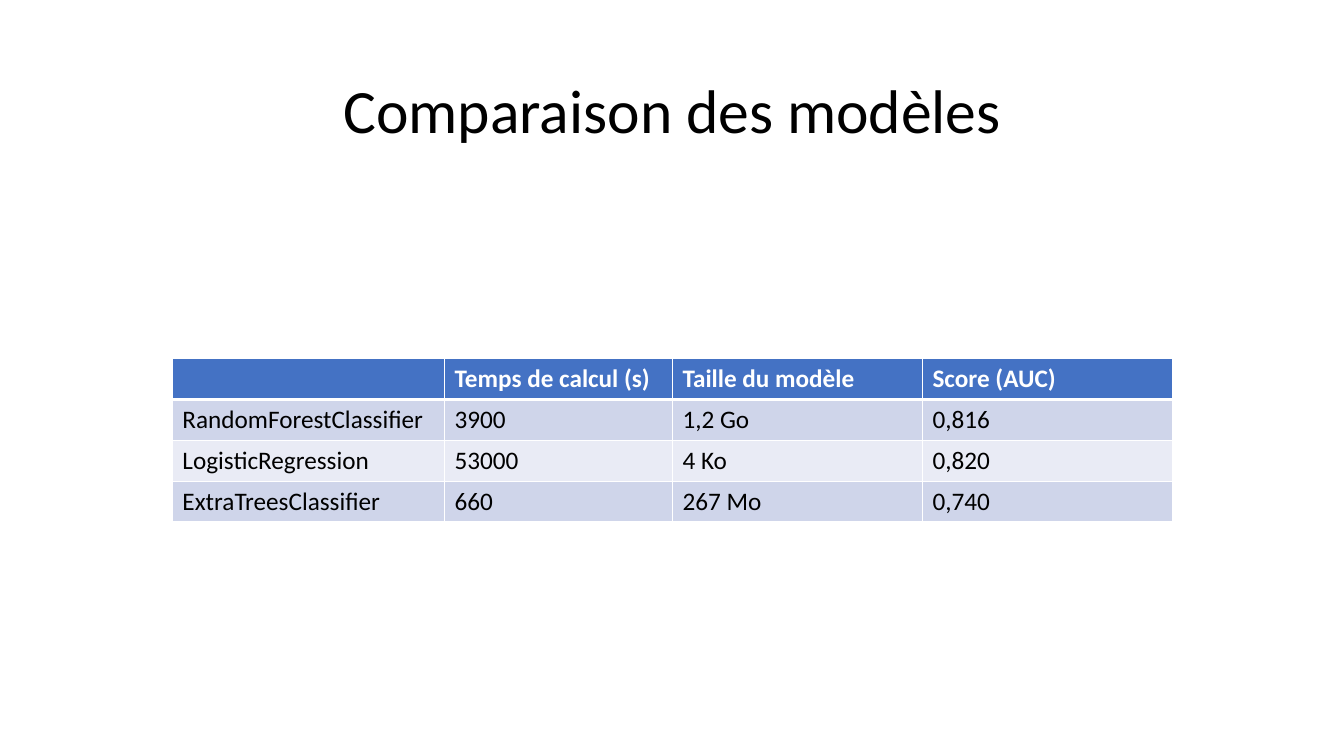
import dataclasses

import lxml.etree
import pptx
import pptx.dml.color
import pptx.enum.text
import pptx.oxml.ns
import pptx.util

Inches = pptx.util.Inches
Pt = pptx.util.Pt
qn = pptx.oxml.ns.qn
PP_ALIGN = pptx.enum.text.PP_ALIGN
MSO_ANCHOR = pptx.enum.text.MSO_ANCHOR

FONT = "Calibri"
COLORS = {
    "text": "000000",
    "header": "4472C4",
    "odd": "CFD5EA",
    "even": "E9EBF5",
    "white": "FFFFFF",
}


@dataclasses.dataclass(frozen=True)
class Model:
    name: str
    duration: str
    size: str
    score: str


HEADINGS = Model("", "Temps de calcul (s)", "Taille du modèle", "Score (AUC)")
MODELS = [
    Model("RandomForestClassifier", "3900", "1,2 Go", "0,816"),
    Model("LogisticRegression", "53000", "4 Ko", "0,820"),
    Model("ExtraTreesClassifier", "660", "267 Mo", "0,740"),
]
COLUMN_WIDTHS = [2.7, 2.26, 2.48, 2.48]
ROW_HEIGHT = 0.405


def rgb(color: str) -> pptx.dml.color.RGBColor:
    return pptx.dml.color.RGBColor.from_string(COLORS[color])


def write(frame, text: str, *, size: float = 18, color: str = "text",
          bold: bool = False, align=PP_ALIGN.LEFT, spacing: float = 1.0) -> None:
    paragraph = frame.paragraphs[0]
    paragraph.alignment = align
    paragraph.line_spacing = spacing
    paragraph.font.size = Pt(size)
    if not text:
        return
    run = paragraph.add_run()
    run.text = text
    run.font.name = FONT
    run.font.size = Pt(size)
    run.font.bold = bold
    run.font.color.rgb = rgb(color)


def set_borders(cell, *, top: float = 1, bottom: float = 1) -> None:
    properties = cell._tc.get_or_add_tcPr()
    for side, width in (("L", 1), ("R", 1), ("T", top), ("B", bottom)):
        line = lxml.etree.SubElement(properties, qn(f"a:ln{side}"), w=str(Pt(width)))
        fill = lxml.etree.SubElement(line, qn("a:solidFill"))
        lxml.etree.SubElement(fill, qn("a:srgbClr"), val=COLORS["white"])


def draw_row(table, index: int, model: Model) -> None:
    is_header = index == 0
    band = "header" if is_header else "odd" if index % 2 else "even"
    table.rows[index].height = Inches(ROW_HEIGHT)
    for cell, text in zip(table.rows[index].cells, dataclasses.astuple(model)):
        # The header is set off by a thicker rule
        set_borders(cell, top=3 if index == 1 else 1, bottom=3 if is_header else 1)
        cell.fill.solid()
        cell.fill.fore_color.rgb = rgb(band)
        write(cell.text_frame, text, bold=is_header,
              color="white" if is_header else "text")


presentation = pptx.Presentation()
presentation.slide_width = Inches(13.33)
presentation.slide_height = Inches(7.5)
slide = presentation.slides.add_slide(presentation.slide_layouts[6])

# Title
title = slide.shapes.add_textbox(
    Inches(0.92), Inches(0.4), Inches(11.5), Inches(1.45)).text_frame
title.word_wrap = True
title.vertical_anchor = MSO_ANCHOR.MIDDLE
write(title, "Comparaison des modèles", size=44, align=PP_ALIGN.CENTER, spacing=0.9)

# Comparison table
rows = [HEADINGS, *MODELS]
comparison = slide.shapes.add_table(
    len(rows), len(COLUMN_WIDTHS), Inches(1.71), Inches(3.56),
    Inches(sum(COLUMN_WIDTHS)), Inches(ROW_HEIGHT * len(rows))).table
for column, width in zip(comparison.columns, COLUMN_WIDTHS):
    column.width = Inches(width)
for index, model in enumerate(rows):
    draw_row(comparison, index, model)

presentation.save("out.pptx")
